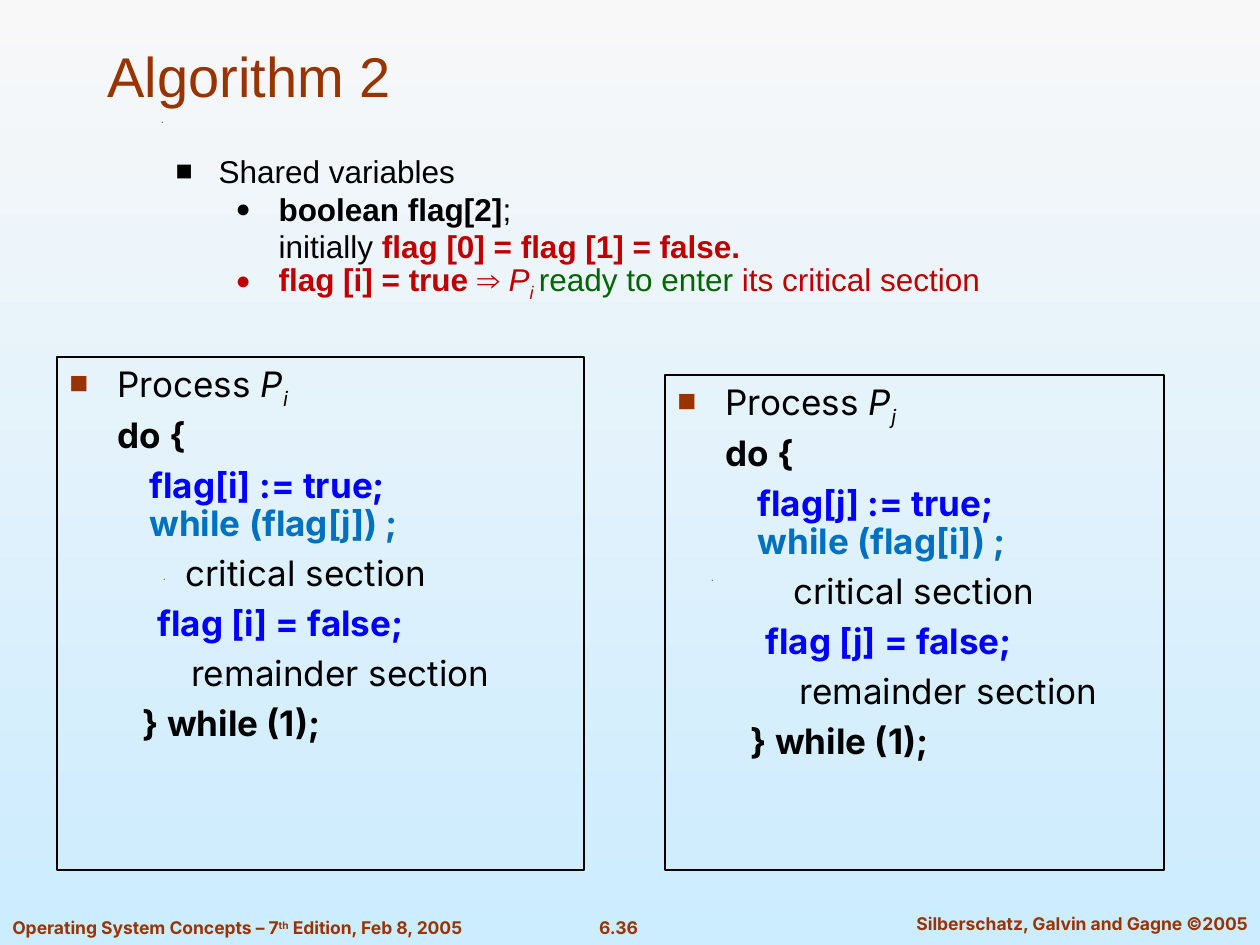
from dataclasses import dataclass
from typing import Optional

import pptx
import pptx.dml.color
import pptx.enum.shapes
import pptx.enum.text
import pptx.oxml
import pptx.oxml.ns
import pptx.util

PX_PER_INCH = 126
COLORS = {
    "top": "F8F8F8", "bottom": "CCECFF", "rust": "993300", "black": "000000",
    "red": "C00000", "green": "006600", "blue": "0000FF", "sky": "0070C0",
}
ALIGN = pptx.enum.text.PP_ALIGN


@dataclass
class Span:
    text: str
    color: str = "black"
    bold: bool = False
    italic: bool = False
    baseline: int = 0
    new_line: bool = False


@dataclass
class Line:
    spans: list[Span]
    margin: int = 0
    bullet: str = ""
    bullet_color: str = "black"
    bullet_size: int = 90
    hang: int = 0
    level: int = 0


@dataclass
class Process:
    own: str
    other: str
    box: tuple[int, int, int, int]


@dataclass
class Footer:
    spans: list[Span]
    box: tuple[int, int, int, int]
    align: ALIGN = ALIGN.CENTER
    wrap: bool = False


def px(length: int) -> int:
    return round(length * pptx.util.Inches(1) / PX_PER_INCH)


def rgb(name: str) -> pptx.dml.color.RGBColor:
    return pptx.dml.color.RGBColor.from_string(COLORS[name])


def place(shape, box: tuple[int, int, int, int]) -> None:
    shape.left, shape.top, shape.width, shape.height = map(px, box)


def add_spans(paragraph, spans: list[Span], font_name: str, size: int) -> None:
    for span in spans:
        if span.new_line:
            paragraph.add_line_break()
        run = paragraph.add_run()
        run.text = span.text
        run.font.name, run.font.size = font_name, pptx.util.Pt(size)
        run.font.bold, run.font.italic = span.bold, span.italic
        run.font.color.rgb = rgb(span.color)
        if span.baseline:
            run._r.get_or_add_rPr().set("baseline", str(span.baseline * 1000))


def set_bullet(paragraph, line: Line) -> None:
    properties = paragraph._p.get_or_add_pPr()
    properties.set("marL", str(px(line.margin)))
    properties.set("indent", str(-px(line.hang)))
    namespace = pptx.oxml.ns.nsdecls("a")
    if line.bullet:
        parts = [
            f'<a:buClr {namespace}><a:srgbClr val="{COLORS[line.bullet_color]}"/></a:buClr>',
            f'<a:buSzPct {namespace} val="{line.bullet_size * 1000}"/>',
            f'<a:buFont {namespace} typeface="Arial"/>',
            f'<a:buChar {namespace} char="{line.bullet}"/>',
        ]
    else:
        parts = [f"<a:buNone {namespace}/>"]
    for part in parts:
        properties.append(pptx.oxml.parse_xml(part))


def fill_lines(text_frame, lines: list[Line], font_name: str, size: int,
               spacing, gap: int) -> None:
    for index, line in enumerate(lines):
        paragraph = text_frame.add_paragraph() if index else text_frame.paragraphs[0]
        paragraph.alignment = ALIGN.LEFT
        paragraph.level = line.level
        paragraph.line_spacing = spacing
        paragraph.space_before = pptx.util.Pt(gap if index else 0)
        set_bullet(paragraph, line)
        add_spans(paragraph, line.spans, font_name, size)


def process_lines(own: str, other: str) -> list[Line]:
    text_left = 48
    return [
        Line([Span("Process "), Span("P", italic=True),
              Span(own, italic=True, baseline=-25)],
             text_left, "■", "rust", hang=text_left),
        Line([Span("do {", bold=True)], text_left),
        Line([Span(f"flag[{own}] := true;", "blue", True),
              Span(f"while (flag[{other}]) ;", "sky", True, new_line=True)], text_left + 32),
        Line([Span("critical section")], text_left + 68),
        Line([Span(f"flag [{own}] = false;", "blue", True)], text_left + 40),
        Line([Span("remainder section")], text_left + 74),
        Line([Span("} while (1);", bold=True)], text_left + 25),
    ]


def add_process(slide, process: Process) -> None:
    shape = slide.shapes.add_shape(
        pptx.enum.shapes.MSO_SHAPE.RECTANGLE, *map(px, process.box))
    shape.shadow.inherit = False
    shape.fill.background()
    shape.line.color.rgb = rgb("black")
    shape.line.width = pptx.util.Pt(0.75)
    shape.text_frame.vertical_anchor = pptx.enum.text.MSO_ANCHOR.TOP
    fill_lines(shape.text_frame, process_lines(process.own, process.other),
               "Inter", 20, 0.9, 7)


def add_footer(slide, footer: Footer) -> None:
    text_frame = slide.shapes.add_textbox(*map(px, footer.box)).text_frame
    text_frame.word_wrap = footer.wrap
    paragraph = text_frame.paragraphs[0]
    paragraph.alignment = footer.align
    add_spans(paragraph, footer.spans, "Inter", 10)


def add_speck(slide, left: int, top: int) -> None:
    builder = slide.shapes.build_freeform(px(left), px(top + 1))
    builder.add_line_segments([(px(left + 1), px(top)), (px(left), px(top))])
    speck = builder.convert_to_shape()
    speck.shadow.inherit = False
    speck.fill.solid()
    speck.fill.fore_color.rgb = rgb("black")
    speck.line.fill.background()


def main() -> None:
    presentation = pptx.Presentation()
    presentation.slide_width = pptx.util.Inches(10)
    presentation.slide_height = pptx.util.Inches(7.5)
    slide = presentation.slides.add_slide(presentation.slide_layouts[1])

    # Background, light at the top
    background = slide.background.fill
    background.gradient()
    background.gradient_angle = 270
    for stop, name, position in zip(background.gradient_stops, ("top", "bottom"), (0, 1)):
        stop.color.rgb, stop.position = rgb(name), position

    # Title
    title = slide.shapes.title
    place(title, (95, 31, 1113, 84))
    title.text_frame.auto_size = pptx.enum.text.MSO_AUTO_SIZE.NONE
    title.text_frame.vertical_anchor = pptx.enum.text.MSO_ANCHOR.BOTTOM
    title.text_frame.paragraphs[0].alignment = ALIGN.LEFT
    add_spans(title.text_frame.paragraphs[0], [Span("Algorithm 2", "rust")], "Arial", 32)

    # Shared variables
    body = slide.placeholders[1]
    place(body, (147, 146, 969, 197))
    body.text_frame.auto_size = pptx.enum.text.MSO_AUTO_SIZE.NONE
    fill_lines(body.text_frame, [
        Line([Span("Shared variables")], 59, "■", hang=43),
        Line([Span("boolean flag[2]", bold=True), Span(";"),
              Span("initially ", new_line=True),
              Span("flag [0] = flag [1] = false.", "red", True)],
             119, "●", bullet_size=80, hang=43, level=1),
        Line([Span("flag [i] = true ", "red", True), Span("⇒ ", "red"),
              Span("P", "red", italic=True), Span("i ", "red", italic=True, baseline=-25),
              Span("ready to enter ", "green"), Span("its critical section", "red")],
             119, "●", "red", 80, 43, 1),
    ], "Arial", 18, pptx.util.Pt(21.5), 0)

    # The two processes
    for process in (Process("i", "j", (57, 357, 527, 513)),
                    Process("j", "i", (665, 375, 499, 495))):
        add_process(slide, process)

    # Footer
    for footer in (
        Footer([Span("Operating System Concepts – 7", "rust", True),
                Span("th", "rust", True, baseline=30),
                Span(" Edition, Feb 8, 2005", "rust", True)], (0, 911, 518, 34), ALIGN.LEFT),
        Footer([Span("6.36", "rust", True)], (578, 911, 81, 34)),
        Footer([Span("Silberschatz, Galvin and Gagne ©2005", "rust", True)],
               (895, 907, 374, 34), wrap=True),
    ):
        add_footer(slide, footer)

    # Small specks
    for left, top in ((162, 122), (164, 579), (712, 580), (222, 683)):
        add_speck(slide, left, top)

    presentation.save("out.pptx")


if __name__ == "__main__":
    main()
